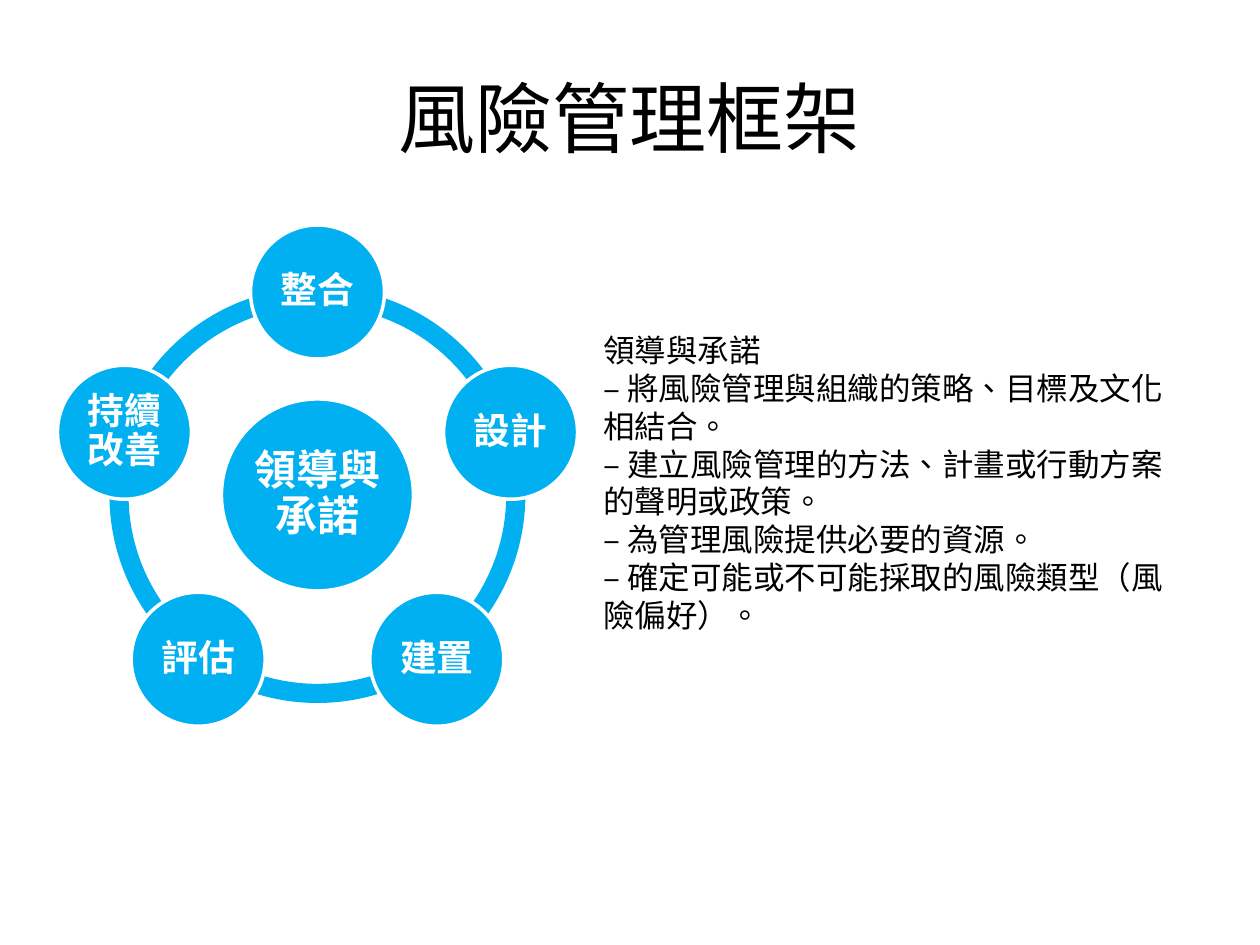
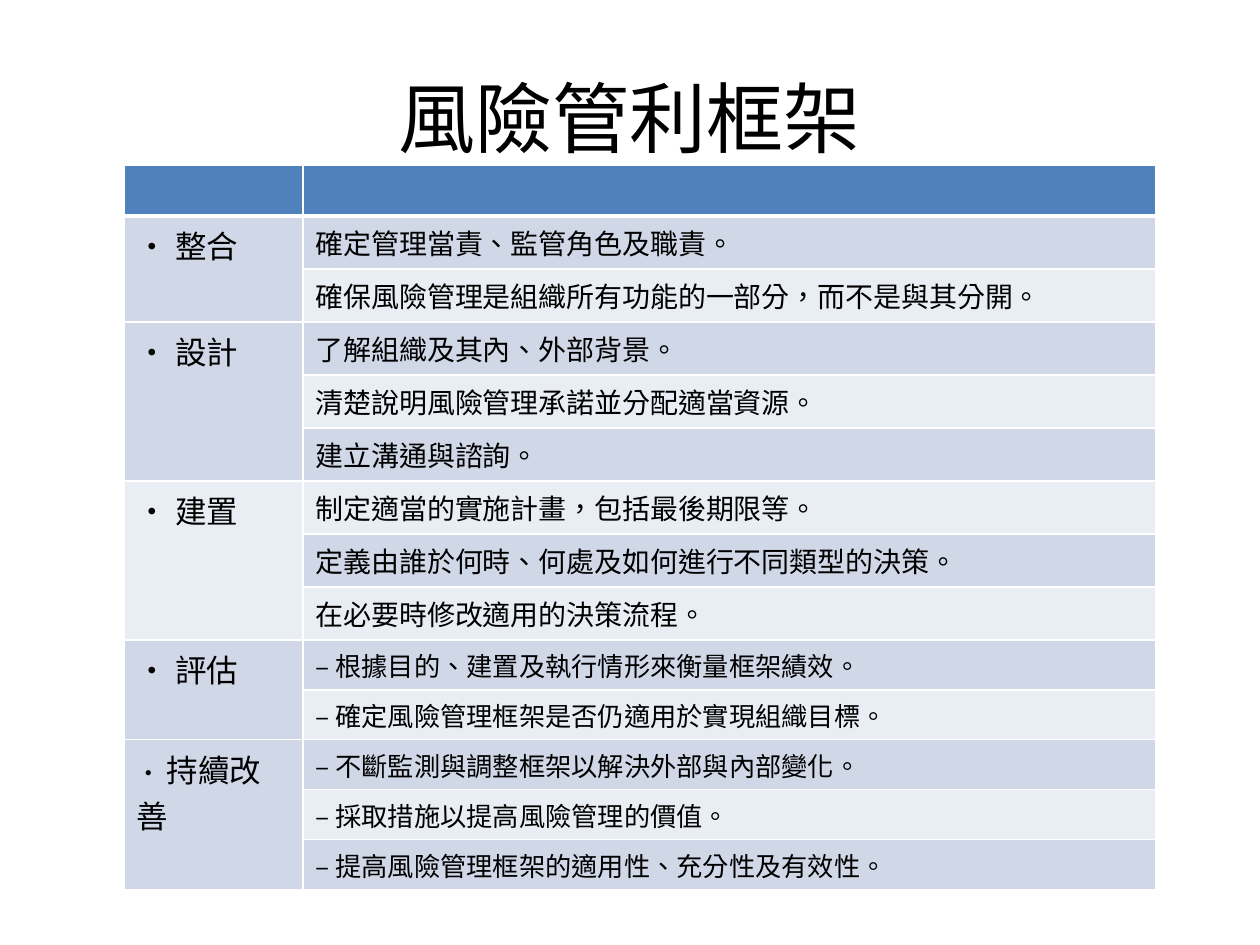
from dataclasses import dataclass
from math import cos, radians, sin

from lxml import etree
from pptx import Presentation
from pptx.dml.color import RGBColor
from pptx.enum import shapes, text
from pptx.oxml.ns import qn
from pptx.util import Emu, Pt

PX_PER_INCH = 126
SLIDE_SIZE = (1260, 945)


def px(length):
    return Emu(round(length * 914400 / PX_PER_INCH))


@dataclass(frozen=True)
class Theme:
    latin: str = "Calibri"
    dash: str = "Arial"
    cjk: str = "Noto Sans CJK TC"
    ink: str = "000000"
    paper: str = "FFFFFF"
    ring: str = "00B0F0"
    header: str = "4F81BD"
    bands: tuple = ("D0D8E8", "E9EDF4")
    title_size: int = 44
    core_size: int = 24
    node_size: int = 21
    body_size: int = 18
    detail_size: int = 16
    dashed_size: int = 15
    small_bullet_size: int = 14
    body_leading: float = 21.6


class SlideBuilder:
    def __init__(self, deck, theme):
        self.deck, self.theme, self.page = deck, theme, None

    def new_page(self, title):
        self.page = self.deck.slides.add_slide(self.deck.slide_layouts[6])
        frame = self.text_box(63, 38, 1134, 157)
        frame.vertical_anchor = text.MSO_ANCHOR.MIDDLE
        frame.text = title
        para = frame.paragraphs[0]
        para.alignment = text.PP_ALIGN.CENTER
        self.style(para.runs[0], self.theme.title_size)

    def style(self, span, size, color=None, latin=None, cjk=None, bold=False):
        font = span.font
        font.name = latin or self.theme.latin
        font.size, font.bold = Pt(size), bold
        font.color.rgb = RGBColor.from_string(color or self.theme.ink)
        props = font._element
        props.set("lang", "zh-TW")
        etree.SubElement(props, qn("a:ea"), typeface=cjk or self.theme.cjk)

    def text_box(self, left, top, width, height):
        box = self.page.shapes.add_textbox(px(left), px(top), px(width), px(height))
        box.text_frame.word_wrap = True
        return box.text_frame

    def centred_shape(self, kind, center, diameter):
        left, top = (c - diameter / 2 for c in center)
        shape = self.page.shapes.add_shape(
            kind, px(left), px(top), px(diameter), px(diameter))
        shape.shadow.inherit = False
        shape.fill.solid()
        shape.fill.fore_color.rgb = RGBColor.from_string(self.theme.ring)
        shape.line.fill.background()
        return shape

    def arc(self, center, diameter, start, end, thickness):
        """Ring segment running clockwise; angles in degrees from the right."""
        shape = self.centred_shape(shapes.MSO_SHAPE.BLOCK_ARC, center, diameter)
        for index, angle in enumerate((start, end)):
            shape.adjustments[index] = angle % 360 * 0.6
        shape.adjustments[2] = thickness

    def disc(self, label, center, diameter, size):
        shape = self.centred_shape(shapes.MSO_SHAPE.OVAL, center, diameter)
        shape.line.color.rgb = RGBColor.from_string(self.theme.paper)
        shape.line.width = Pt(2)
        frame = shape.text_frame
        frame.margin_left = frame.margin_right = px(3)
        frame.margin_top = frame.margin_bottom = px(3)
        frame.word_wrap = True
        frame.vertical_anchor = text.MSO_ANCHOR.MIDDLE
        frame.text = label
        para = frame.paragraphs[0]
        para.alignment, para.line_spacing = text.PP_ALIGN.CENTER, 0.9
        self.style(para.runs[0], size, self.theme.paper, cjk=self.theme.latin, bold=True)

    def dashed_list(self, heading, items, left, top, width, height):
        theme = self.theme
        frame = self.text_box(left, top, width, height)
        frame.text = "\n".join([heading, *["‒ "] * len(items)])
        for para, item in zip(frame.paragraphs, [None, *items]):
            para.line_spacing = Pt(theme.body_leading)
            self.style(para.runs[0], theme.body_size,
                       latin=theme.dash if item else theme.cjk)
            if item:
                span = para.add_run()
                span.text = item
                self.style(span, theme.body_size, latin=theme.cjk)

    def paint_cell(self, cell, fill, top=1, bottom=1):
        props = cell._tc.get_or_add_tcPr()
        for side, points in zip("LRTB", (1, 1, top, bottom)):
            line = etree.SubElement(props, qn(f"a:ln{side}"), w=str(Pt(points)))
            solid = etree.SubElement(line, qn("a:solidFill"))
            etree.SubElement(solid, qn("a:srgbClr"), val=self.theme.paper)
        cell.fill.solid()
        cell.fill.fore_color.rgb = RGBColor.from_string(fill)

    def fill_cell(self, cell, *spans):
        para = cell.text_frame.paragraphs[0]
        for words, size in spans:
            span = para.add_run()
            span.text = words
            self.style(span, size)

    def stage_table(self, stages, left, top, widths, header_height, row_heights):
        """One merged label per stage beside its banded detail rows."""
        theme = self.theme
        count = 1 + sum(len(details) for _, _, details in stages)
        frame = self.page.shapes.add_table(
            count, 2, px(left), px(top), px(sum(widths)), px(header_height * count))
        table = frame.table
        for column, width in zip(table.columns, widths):
            column.width = px(width)
        table.rows[0].height = px(header_height)
        for cell in table.rows[0].cells:
            self.paint_cell(cell, theme.header, bottom=3)

        row = 1
        for label_spans, size, details in stages:
            first = row
            label = table.cell(first, 0)
            label.merge(table.cell(first + len(details) - 1, 0))
            self.fill_cell(label, *label_spans)
            for detail in details:
                table.rows[row].height = px(row_heights[size])
                edge = 3 if row == 1 else 1
                self.paint_cell(table.cell(row, 0), theme.bands[(first - 1) % 2], top=edge)
                self.paint_cell(table.cell(row, 1), theme.bands[(row - 1) % 2], top=edge)
                self.fill_cell(table.cell(row, 1), (detail, size))
                row += 1


def framework_page(builder):
    theme = builder.theme
    center, node_orbit = (317.5, 495), 203
    nodes = ["整合", "設計", "建置", "評估", "持續改善"]
    step = 360 / len(nodes)
    angles = [step * index - 90 for index in range(len(nodes))]

    builder.new_page("風險管理框架")
    for angle in angles:
        builder.arc(center, 416, angle, angle + step, 0.046)
    builder.disc("領導與承諾", center, 192, theme.core_size)
    for node, angle in zip(nodes, angles):
        spot = (center[0] + node_orbit * cos(radians(angle)),
                center[1] + node_orbit * sin(radians(angle)))
        builder.disc(node, spot, 134, theme.node_size)
    builder.dashed_list("領導與承諾", [
        "將風險管理與組織的策略、目標及文化相結合。",
        "建立風險管理的方法、計畫或行動方案的聲明或政策。",
        "為管理風險提供必要的資源。",
        "確定可能或不可能採取的風險類型（風險偏好）。",
    ], 591, 325, 591, 317)


def stages_page(builder):
    theme = builder.theme
    body, detail, dashed = theme.body_size, theme.detail_size, theme.dashed_size
    stages = [
        ([("• 整合", body)], detail, [
            "確定管理當責、監管角色及職責。",
            "確保風險管理是組織所有功能的一部分，而不是與其分開。"]),
        ([("• 設計", body)], detail, [
            "了解組織及其內、外部背景。",
            "清楚說明風險管理承諾並分配適當資源。",
            "建立溝通與諮詢。"]),
        ([("• 建置", body)], detail, [
            "制定適當的實施計畫，包括最後期限等。",
            "定義由誰於何時、何處及如何進行不同類型的決策。",
            "在必要時修改適用的決策流程。"]),
        ([("• 評估", body)], dashed, [
            "‒ 根據目的、建置及執行情形來衡量框架績效。",
            "‒ 確定風險管理框架是否仍適用於實現組織目標。"]),
        ([("• ", theme.small_bullet_size), ("持續改善", body)], dashed, [
            "‒ 不斷監測與調整框架以解決外部與內部變化。",
            "‒ 採取措施以提高風險管理的價值。",
            "‒ 提高風險管理框架的適用性、充分性及有效性。"]),
    ]
    builder.new_page("風險管利框架")
    builder.stage_table(stages, 124, 165, (179, 853), 51, {detail: 53, dashed: 50})


def main():
    deck = Presentation()
    deck.slide_width, deck.slide_height = map(px, SLIDE_SIZE)
    builder = SlideBuilder(deck, Theme())
    framework_page(builder)
    stages_page(builder)
    deck.save("out.pptx")


if __name__ == "__main__":
    main()
